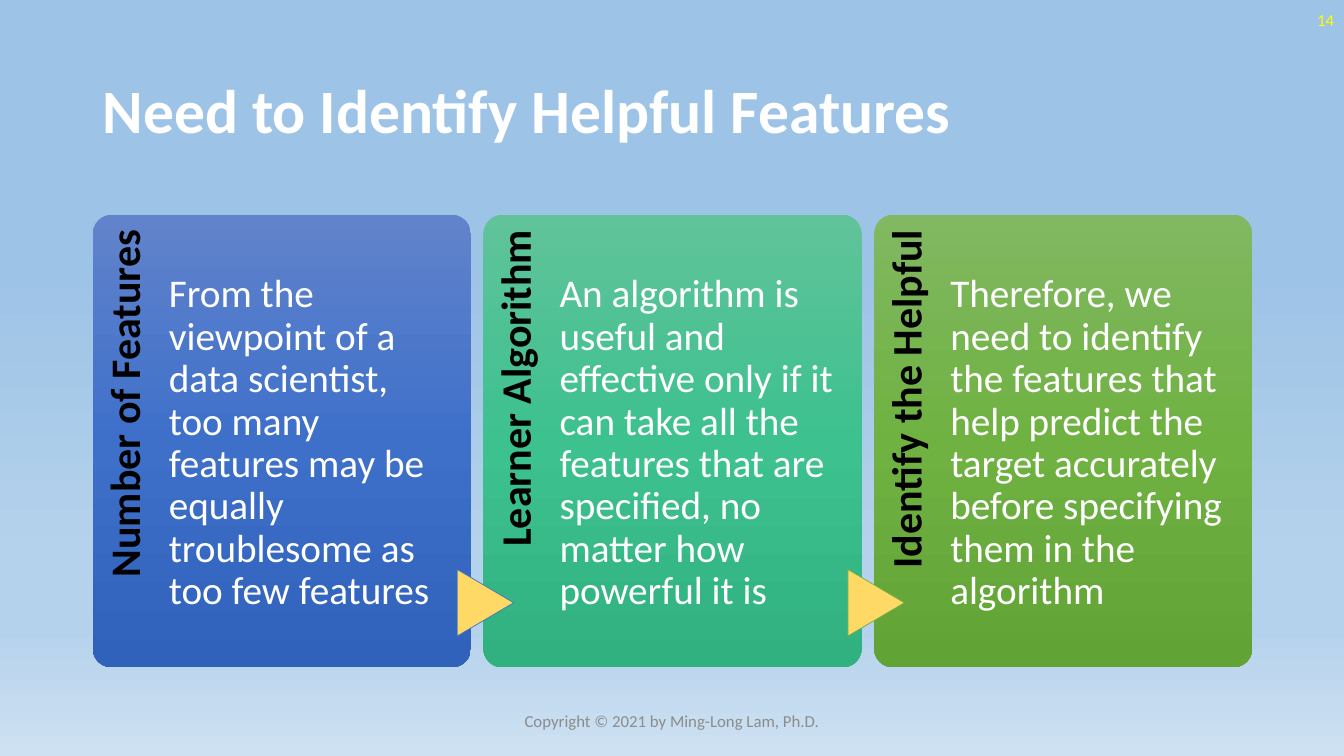
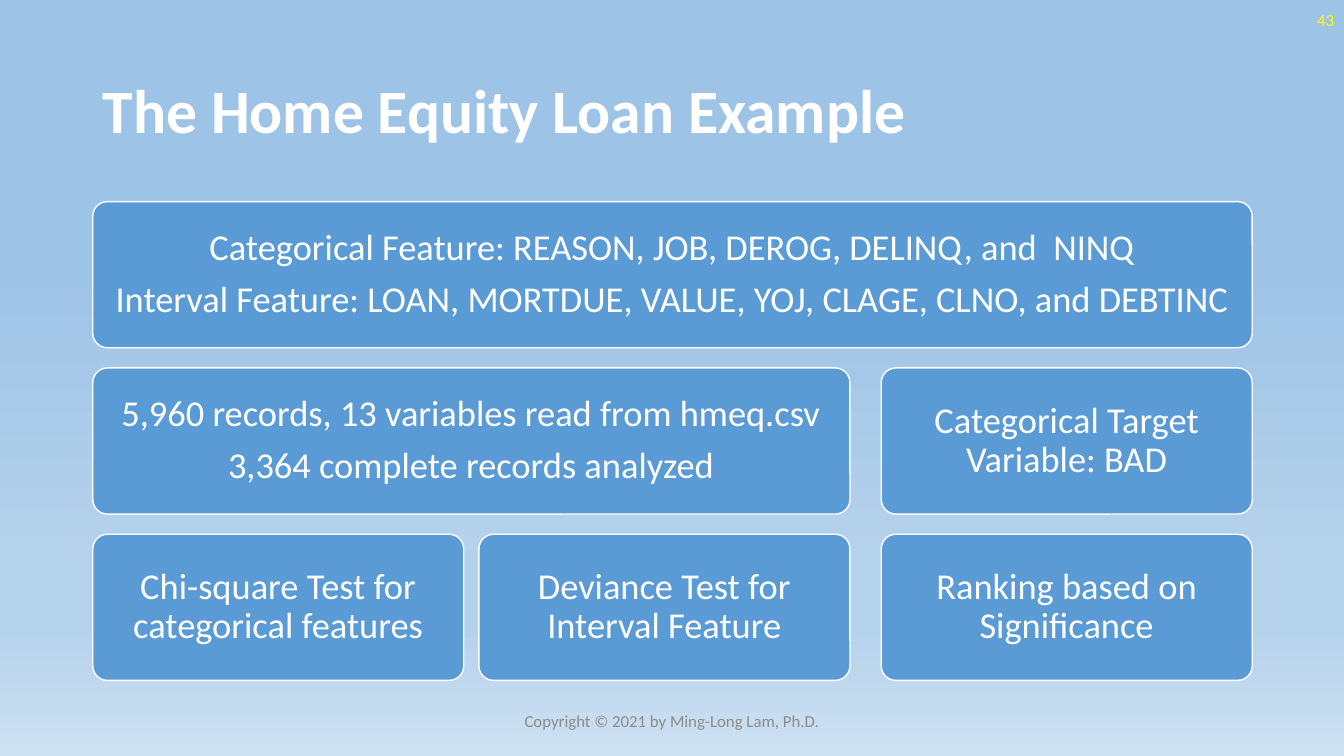
from lxml.etree import SubElement
from pptx import Presentation
from pptx.dml.color import RGBColor
from pptx.enum.shapes import MSO_SHAPE as Shape
from pptx.enum.text import MSO_ANCHOR as Anchor, PP_ALIGN as Align
from pptx.oxml.ns import qn
from pptx.util import Inches, Pt

FONT = "Calibri"
WHITE = RGBColor(0xFF, 0xFF, 0xFF)
BLACK = RGBColor(0x00, 0x00, 0x00)
YELLOW = RGBColor(0xFF, 0xFF, 0x00)
GRAY = RGBColor(0x8C, 0x8C, 0x8C)
GOLD = RGBColor(0xFF, 0xD9, 0x66)
TILE_BLUE = RGBColor(0x5B, 0x9B, 0xD5)
ARROW_BLUE = RGBColor(0x44, 0x72, 0xC4)
ARROW_GREEN = RGBColor(0x70, 0xAD, 0x47)
SKY = RGBColor(0x9D, 0xC3, 0xE6)
PALE_SKY = RGBColor(0xB5, 0xD2, 0xEC)
HAZE = RGBColor(0xCE, 0xE1, 0xF2)
BACKDROP = [(35, SKY), (74, PALE_SKY), (83, PALE_SKY), (100, HAZE)]
BLUE_FADE = [(0, RGBColor(0x61, 0x83, 0xCB)), (50, RGBColor(0x3E, 0x70, 0xCA)),
             (100, RGBColor(0x30, 0x62, 0xBB))]
TEAL_FADE = [(0, RGBColor(0x60, 0xC3, 0x9A)), (50, RGBColor(0x3D, 0xC1, 0x8F)),
             (100, RGBColor(0x31, 0xB0, 0x80))]
GREEN_FADE = [(0, RGBColor(0x81, 0xB8, 0x61)), (50, RGBColor(0x6F, 0xB2, 0x42)),
              (100, RGBColor(0x62, 0xA3, 0x36))]

SLIDE_WIDTH, SLIDE_HEIGHT = 13.33, 7.5
CONTENT_LEFT, CONTENT_WIDTH = 0.92, 11.5
COPYRIGHT = "Copyright © 2021 by Ming-Long Lam, Ph.D."

CARDS = [
    ("Number of Features",
     "From the viewpoint of a data scientist, too many features may be equally "
     "troublesome as too few features", BLUE_FADE, None),
    ("Learner Algorithm",
     "An algorithm is useful and effective only if it can take all the features "
     "that are specified, no matter how powerful it is", TEAL_FADE, ARROW_BLUE),
    ("Identify the Helpful",
     "Therefore, we need to identify the features that help predict the target "
     "accurately before specifying them in the algorithm", GREEN_FADE, ARROW_GREEN),
]

TILES = [
    (0, 0, 3, ["Categorical Feature: REASON, JOB, DEROG, DELINQ, and  NINQ",
               "Interval Feature: LOAN, MORTDUE, VALUE, YOJ, CLAGE, CLNO, and DEBTINC"]),
    (1, 0, 2, ["5,960 records, 13 variables read from hmeq.csv",
               "3,364 complete records analyzed"]),
    (2, 0, 1, ["Chi-square Test for categorical features"]),
    (2, 1, 1, ["Deviance Test for Interval Feature"]),
    (1, 2, 1, ["Categorical Target Variable: BAD"]),
    (2, 2, 1, ["Ranking based on Significance"]),
]


def fade(fill, owner, stops):
    """Fill from top to bottom with the given percent and colour stops."""
    fill.gradient()
    fill.gradient_angle = 270
    stop_list = owner.find(".//" + qn("a:gsLst"))
    for stop in list(stop_list):
        stop_list.remove(stop)
    for percent, color in stops:
        stop = SubElement(stop_list, qn("a:gs"), pos=str(percent * 1000))
        SubElement(stop, qn("a:srgbClr"), val=str(color))


def write(shape, lines, size, color, bold=False, align=Align.LEFT, anchor=Anchor.MIDDLE,
          insets=(0.1, 0.05, 0.1, 0.05), spacing=0.9, after=0.35):
    """Write paragraphs into a shape, spaced in proportion to the text size."""
    frame = shape.text_frame
    frame.word_wrap = True
    frame.vertical_anchor = anchor
    (frame.margin_left, frame.margin_top,
     frame.margin_right, frame.margin_bottom) = map(Inches, insets)
    for index, line in enumerate(lines):
        para = frame.add_paragraph() if index else frame.paragraphs[0]
        para.alignment = align
        para.line_spacing = spacing
        para.space_after = Pt(round(size * after, 1))
        span = para.add_run()
        span.text = line
        span.font.name = FONT
        span.font.size = Pt(size)
        span.font.bold = bold
        span.font.color.rgb = color


def add_text(page, left, top, width, height, text, size, color, **style):
    """Add a text box with one paragraph."""
    box = page.shapes.add_textbox(*map(Inches, (left, top, width, height)))
    write(box, [text], size, color, **style)
    return box


def add_plain_shape(page, kind, left, top, width, height, fill=None, line=None, weight=1):
    """Add a preset shape without shadow."""
    shape = page.shapes.add_shape(kind, *map(Inches, (left, top, width, height)))
    shape.shadow.inherit = False
    if fill is not None:
        shape.fill.solid()
        shape.fill.fore_color.rgb = fill
    if line is None:
        shape.line.fill.background()
    else:
        shape.line.color.rgb = line
        shape.line.width = Pt(weight)
    return shape


def add_page(deck, title, number):
    """Add a slide with its title, page number and copyright line."""
    page = deck.slides.add_slide(deck.slide_layouts[6])
    add_text(page, CONTENT_LEFT, 0.4, CONTENT_WIDTH, 1.45, title, 44, WHITE,
             bold=True, after=0)
    add_text(page, SLIDE_WIDTH - 3, 0, 3, 0.4, number, 12, YELLOW,
             align=Align.RIGHT, spacing=1, after=0)
    add_text(page, (SLIDE_WIDTH - 4.5) / 2, 6.95, 4.5, 0.4, COPYRIGHT, 12, GRAY,
             align=Align.CENTER, spacing=1, after=0)
    return page


def add_card(page, left, top, width, height, heading, body, stops, arrow_line):
    """Add a card with a sideways heading and an arrow from the card before it."""
    card = add_plain_shape(page, Shape.ROUNDED_RECTANGLE, left, top, width, height)
    card.adjustments[0] = 0.05
    fade(card.fill, card._element, stops)
    write(card, [body], 28, WHITE, insets=(0.7, 0.05, 0.15, 0))

    band, length = width * 0.2, height * 0.82
    shift = (length - band) / 2
    label = add_text(page, left - shift, top + shift, length, band, heading, 30, BLACK,
                     bold=True, align=Align.RIGHT, anchor=Anchor.TOP,
                     insets=(0, 0.11, 0.15, 0))
    label.rotation = 270
    if arrow_line is not None:
        arrow = add_plain_shape(page, Shape.FLOWCHART_EXTRACT, left - 0.31, top + 3.57,
                                0.66, 0.56, GOLD, arrow_line, 0.5)
        arrow.rotation = 90


def add_card_row(page, left, top, width, height):
    """Spread the cards evenly over the given box."""
    card_width = 3.75
    pitch = (width - card_width) / (len(CARDS) - 1)
    for index, card in enumerate(CARDS):
        add_card(page, left + index * pitch, top, card_width, height, *card)


def add_tile_grid(page, left, top, width, height):
    """Lay out the tiles in three rows, with a wider gap before the last column."""
    row_gap, near_gap, far_gap = 0.2, 0.15, 0.31
    tile_width = (width - near_gap - far_gap) / 3
    tile_height = (height - 2 * row_gap) / 3
    starts = [0, tile_width + near_gap, width - tile_width]
    for row, column, span_count, lines in TILES:
        end = starts[column + span_count - 1] + tile_width
        tile = add_plain_shape(page, Shape.ROUNDED_RECTANGLE, left + starts[column],
                               top + row * (tile_height + row_gap),
                               end - starts[column], tile_height, TILE_BLUE, WHITE)
        tile.adjustments[0] = 0.1
        write(tile, lines, 26, WHITE, align=Align.CENTER, insets=(0.11,) * 4)


def main():
    """Build and save the deck."""
    deck = Presentation()
    deck.slide_width, deck.slide_height = Inches(SLIDE_WIDTH), Inches(SLIDE_HEIGHT)
    master = deck.slide_masters[0]
    fade(master.background.fill, master._element, BACKDROP)

    page = add_page(deck, "Need to Identify Helpful Features", "14")
    add_card_row(page, CONTENT_LEFT, 2.13, CONTENT_WIDTH, 4.49)

    page = add_page(deck, "The Home Equity Loan Example", "43")
    add_tile_grid(page, CONTENT_LEFT, 2, CONTENT_WIDTH, 4.75)
    deck.save("out.pptx")


if __name__ == "__main__":
    main()
